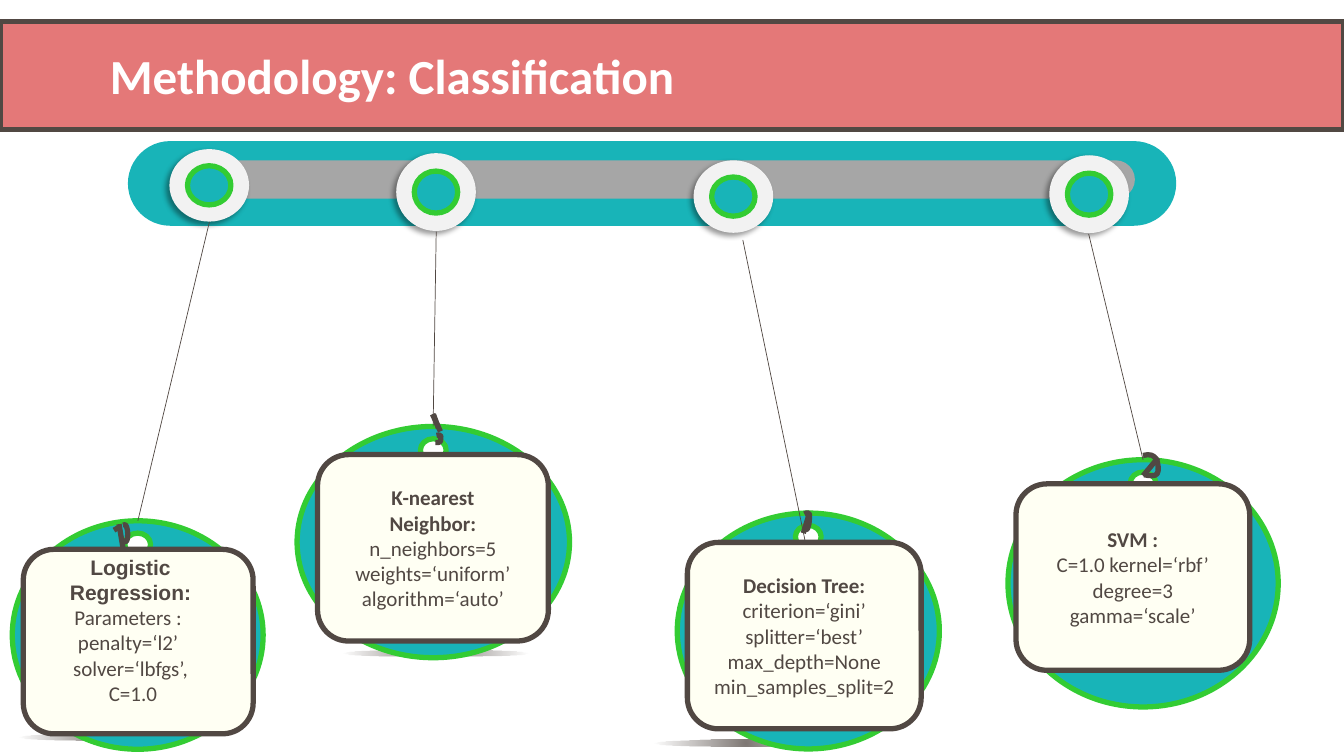
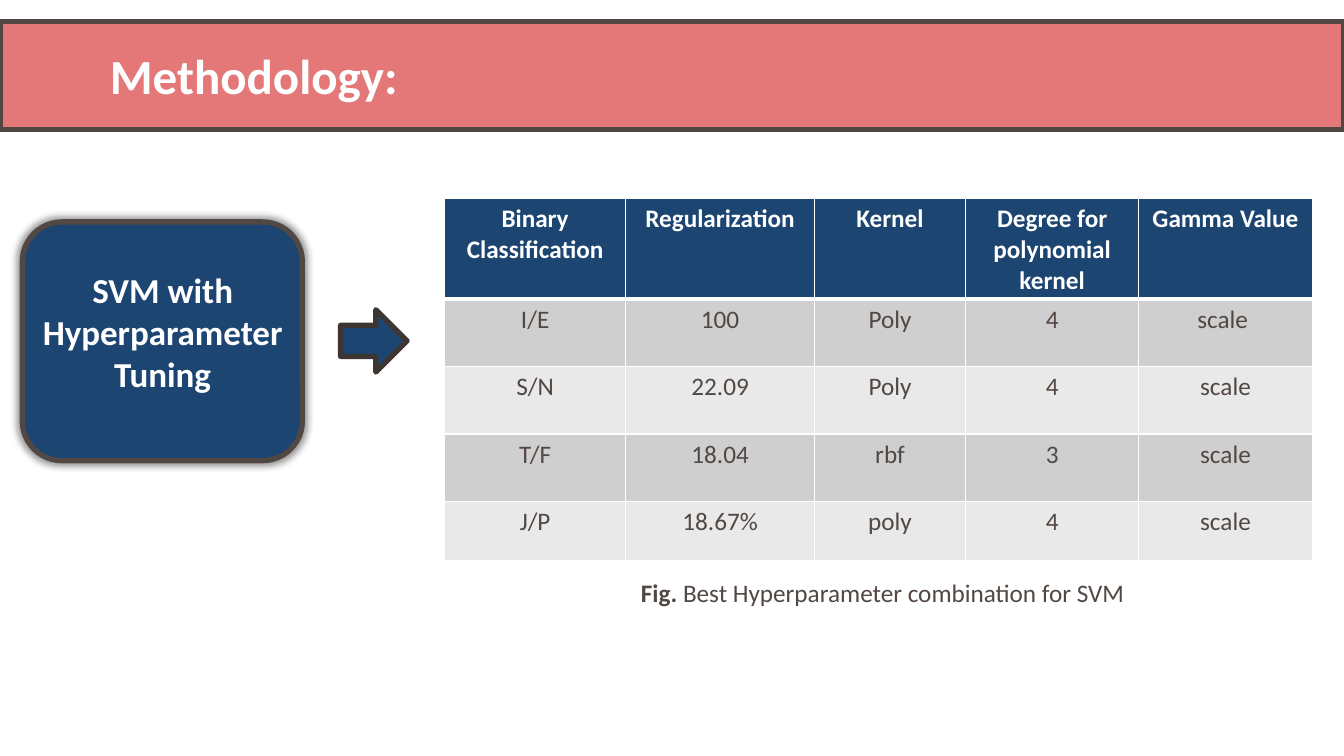
from lxml import etree
from pptx import Presentation
from pptx.dml.color import RGBColor
from pptx.enum import shapes, text
from pptx.oxml import parse_xml
from pptx.oxml.ns import qn
from pptx.util import Pt

# Shared look
CORAL = RGBColor(0xE4, 0x78, 0x78)
BROWN = RGBColor(0x51, 0x48, 0x43)
DARK = RGBColor(0x3C, 0x35, 0x32)
TEAL = RGBColor(0x18, 0xB4, 0xB8)
GREEN = RGBColor(0x33, 0xCC, 0x33)
NAVY = RGBColor(0x1D, 0x45, 0x71)
CREAM = RGBColor(0xFF, 0xFF, 0xF3)
WHITE = RGBColor(0xFF, 0xFF, 0xFF)
PALE = RGBColor(0xF2, 0xF2, 0xF2)
GRAY = RGBColor(0xA6, 0xA6, 0xA6)
ROWS = RGBColor(0xD0, 0xCF, 0xCF), RGBColor(0xE9, 0xE9, 0xE9)
THICK, THIN = 3.78, 0.5
KAPPA = 0.55  # Bezier handle length for a quarter ellipse
NS = "http://schemas.openxmlformats.org/drawingml/2006/main"
SHAPE = shapes.MSO_SHAPE
CENTER, LEFT = text.PP_ALIGN.CENTER, text.PP_ALIGN.LEFT
TOP, MIDDLE = text.MSO_ANCHOR.TOP, text.MSO_ANCHOR.MIDDLE

TITLE = dict(size=Pt(35), name="Calibri", bold=True)
CARD = dict(size=Pt(15), name="Calibri", bold=False)
HEAD = dict(CARD, bold=True)
CELL = dict(size=Pt(18), name="Calibri", bold=False)

# Slide 1 content: hanging tags; a stroke of two points is straight, others are curves
TAGS = [
    dict(tag=(8.8, 372, 179.2, 163.2), shade=(13, 524.2), knob=(121, 106.5, 56.9, 51.8),
         string=(149.6, 158.5, 98.5, 372),
         strokes=[[(87.8, 375.1), (90, 374.4), (90, 375.1), (90.7, 377.3),
                   (91.4, 378.7), (91.4, 384.5), (90.7, 385.9),
                   (90.7, 387.4), (89.3, 387.4), (87.8, 385.9)],
                  [(88.6, 396), (85, 374.4)], [(81.4, 378.7), (85, 376.6)]]),
    dict(tag=(212.2, 304.6, 194.6, 165.2), shade=(244.8, 463.7), knob=(283, 109.4, 56.9, 55.6),
         string=(311.6, 165.5, 309.4, 304.6),
         strokes=[[(311, 316.1), (313.2, 316.1), (313.9, 316.1), (314.6, 315.4),
                   (314.6, 314.6), (315.4, 311.8), (314.6, 311),
                   (313.9, 310.3), (312.5, 311), (311.8, 311)],
                  [(308.9, 295.9), (314.6, 308.2)], [(309.6, 295.9), (313.2, 306)]]),
    dict(tag=(483.8, 366.5, 187.2, 168.5), shade=(466.6, 528.5), knob=(495.4, 114.5, 56.9, 51.8),
         string=(530.6, 171.4, 575.3, 387.4),
         back=[(530.6, 391), (529.2, 388.8), (527, 386.6), (527, 384.5),
               (527, 382.3), (528.5, 380.2), (529.9, 378)],
         strokes=[[(574.6, 378), (576.7, 378.7), (577.4, 377.3), (577.4, 375.8),
                   (578.2, 374.4), (578.2, 368.6), (578.2, 367.2),
                   (577.4, 365.8), (576, 365.8), (574.6, 367.2)],
                  [(573.8, 380.9), (578.2, 366.5)]]),
    dict(tag=(720, 328.4, 193, 176.6), knob=(749.5, 110.9, 56.9, 55.6),
         string=(777.6, 167, 816.5, 328.4),
         strokes=[[(816.5, 325.4), (822.2, 324), (823.7, 325.4), (825.8, 327.6),
                   (827.3, 329.8), (828, 337), (826.6, 338.4),
                   (825.1, 340.6), (820.8, 339.8), (817.2, 339.1)],
                  [(827.3, 326.9), (816.5, 339.8)]]),
]
LOGISTIC_BOX = (16.6, 392.4, 164.2, 131.8)
LOGISTIC = [("Logistic Regression:", dict(HEAD, name="Arial")), ("Parameters : ", CARD),
            ("penalty=‘l2’ ", CARD), ("solver=‘lbfgs’,", CARD), (" C=1.0", CARD)]
CARDS = [
    ((226.8, 324.7, 164.9, 133.2),
     [("K-nearest", HEAD), ("Neighbor:", HEAD),
      ("n_neighbors=5 weights=‘uniform’ algorithm=‘auto’", CARD)]),
    ((491, 387.4, 167, 133.2),
     [("Decision Tree:", HEAD),
      ("criterion=‘gini’ splitter=‘best’ max_depth=None", CARD),
      ("min_samples_split=2", CARD)]),
    ((725.7, 345.6, 167, 133.2),
     [("SVM :", HEAD), ("C=1.0 kernel=‘rbf’ degree=3 gamma=‘scale’", CARD)]),
]

# Slide 2 content
TABLE = [
    ("Binary Classification", "Regularization", "Kernel", "Degree for polynomial kernel", "Gamma Value"),
    ("I/E", "100", "Poly", "4", "scale "),
    ("S/N", "22.09", "Poly", "4", "scale"),
    ("T/F", "18.04", "rbf", "3", "scale"),
    ("J/P", "18.67%", "poly", "4", "scale"),
]
COL_W = (129.5, 134.8, 107.9, 123.8, 123.8)
ROW_H = (66.2, 48.1, 48.1, 48.1, 42.4)

prs = Presentation()
prs.slide_width, prs.slide_height = Pt(960), Pt(540)


def pts(*values):
    return [Pt(v) for v in values]


def add_run(p, words, fmt, color):
    r = p.add_run()
    r.text = words
    for key, value in fmt.items():
        setattr(r.font, key, value)
    r.font.color.rgb = color


def write(tf, lines, color, align=CENTER, anchor=TOP):
    tf.word_wrap = True
    tf.vertical_anchor = anchor
    for i, (words, fmt) in enumerate(lines):
        p = tf.paragraphs[0] if i == 0 else tf.add_paragraph()
        p.alignment = align
        add_run(p, words, fmt, color)


def paint(s, fill=None, line=None):
    s.shadow.inherit = False
    if fill is None:
        s.fill.background()
    else:
        s.fill.solid()
        s.fill.fore_color.rgb = fill
    if line is None:
        s.line.fill.background()
    else:
        s.line.color.rgb = line
        s.line.width = Pt(THICK)
    return s


def add_shape(sl, kind, box, fill=None, line=None, adj=None):
    s = paint(sl.shapes.add_shape(kind, *pts(*box)), fill, line)
    if adj is not None:
        s.adjustments[0] = adj
    return s


def add_text(sl, box, lines, color, align=CENTER):
    write(sl.shapes.add_textbox(*pts(*box)).text_frame, lines, color, align)


def cast_shadow(s, blur, dist, angle, scale=100):
    effects = s._element.spPr.find(qn("a:effectLst"))
    effects.append(parse_xml(
        f'<a:outerShdw xmlns:a="{NS}" blurRad="{Pt(blur)}" dist="{Pt(dist)}" '
        f'dir="{angle * 60000}" sx="{scale * 1000}" sy="{scale * 1000}" algn="ctr" '
        f'rotWithShape="0"><a:srgbClr val="000000"><a:alpha val="40000"/></a:srgbClr></a:outerShdw>'))


def fade_out(s):
    """Radial brown fill that fades to clear at the edge."""
    stops = "".join(f'<a:gs pos="{pos}"><a:srgbClr val="{BROWN}"><a:alpha val="{alpha}"/>'
                    f'</a:srgbClr></a:gs>' for pos, alpha in ((0, 74000), (100000, 0)))
    grad = parse_xml(f'<a:gradFill xmlns:a="{NS}"><a:gsLst>{stops}</a:gsLst><a:path path="circle">'
                     '<a:fillToRect l="50000" t="50000" r="50000" b="50000"/></a:path></a:gradFill>')
    sp = s._element.spPr
    sp.replace(sp.find(qn("a:solidFill")), grad)


def bend(s):
    """Turn each three line segments into one Bezier curve."""
    legs = list(s._element.spPr.iter(qn("a:lnTo")))
    for i in range(0, len(legs), 3):
        curve = etree.Element(qn("a:cubicBezTo"))
        legs[i].addprevious(curve)
        for leg in legs[i:i + 3]:
            curve.append(leg[0])
            leg.getparent().remove(leg)


def add_path(sl, outlines, closed, fill, line):
    fb = sl.shapes.build_freeform(*pts(*outlines[0][0]))
    for i, outline in enumerate(outlines):
        if i:
            fb.move_to(*pts(*outline[0]))
        fb.add_line_segments([pts(*xy) for xy in outline[1:]], close=closed)
    s = paint(fb.convert_to_shape(), fill, line)
    if len(outlines[0]) > 2:
        bend(s)


def ellipse(cx, cy, rx, ry):
    """Start point and four quarter curves; a negative rx turns the other way."""
    k = KAPPA
    unit = [(0, -1), (k, -1), (1, -k), (1, 0), (1, k), (k, 1), (0, 1),
            (-k, 1), (-1, k), (-1, 0), (-1, -k), (-k, -1), (0, -1)]
    return [(cx + rx * x, cy + ry * y) for x, y in unit]


def add_slide(title):
    sl = prs.slides.add_slide(prs.slide_layouts[5])
    band = add_shape(sl, SHAPE.RECTANGLE, (0, 15.3, 960, 77.5), CORAL, BROWN)
    sl.shapes._spTree.insert(2, band._element)
    s = sl.shapes.title
    s.left, s.top, s.width, s.height = pts(71.3, 28.8, 860, 49.7)
    write(s.text_frame, [(title, TITLE)], WHITE, LEFT)
    s.text_frame.auto_size = text.MSO_AUTO_SIZE.NONE
    return sl


def add_tag(sl, tag, knob, string, strokes, shade=None, back=None):
    if shade:
        fade_out(add_shape(sl, SHAPE.OVAL, (*shade, 132.5, 5), BROWN))
    if back:
        add_path(sl, [back], False, None, BROWN)
    # Disc with a punched hole
    x, y, w, h = tag
    cx = x + w / 2
    add_path(sl, [ellipse(cx, y + 17, -9.2, 8.2), ellipse(cx, y + h / 2, w / 2, h / 2)],
             True, TEAL, GREEN)
    # Knob on the rail
    x, y, w, h = knob
    cast_shadow(add_shape(sl, SHAPE.OVAL, knob, PALE), 4, 3, 135)
    iw, ih = 31, h * 0.54
    add_shape(sl, SHAPE.OVAL, (x + (w - iw) / 2, y + (h - ih) / 2, iw, ih), TEAL, GREEN)
    # String and scribbled knot
    c = sl.shapes.add_connector(shapes.MSO_CONNECTOR.STRAIGHT, *pts(*string))
    c.line.color.rgb, c.line.width = BROWN, Pt(THIN)
    etree.SubElement(c._element.spPr, qn("a:effectLst"))
    for stroke in strokes:
        add_path(sl, [stroke], False, None, BROWN)


def set_borders(cell, bottom):
    tcPr = cell._tc.get_or_add_tcPr()
    for i, (side, w) in enumerate((("L", 1), ("R", 1), ("T", 1), ("B", bottom))):
        tcPr.insert(i, parse_xml(f'<a:ln{side} xmlns:a="{NS}" w="{Pt(w)}"><a:solidFill>'
                                 f'<a:srgbClr val="{WHITE}"/></a:solidFill></a:ln{side}>'))


def classification_slide():
    sl = add_slide("Methodology: Classification")
    # Rail
    add_shape(sl, SHAPE.ROUNDED_RECTANGLE, (91.4, 100.8, 748.8, 60.5), TEAL, adj=0.5)
    add_shape(sl, SHAPE.ROUNDED_RECTANGLE, (128.9, 114.5, 681.8, 27.4), GRAY, adj=0.5)
    for tag in TAGS:
        add_tag(sl, **tag)
    # Cards
    add_shape(sl, SHAPE.ROUNDED_RECTANGLE, LOGISTIC_BOX, CREAM, BROWN)
    add_text(sl, (13, 392.4, 160.5, 116.6), LOGISTIC, BROWN)
    for box, lines in CARDS:
        s = add_shape(sl, SHAPE.ROUNDED_RECTANGLE, box, CREAM, BROWN)
        write(s.text_frame, lines, BROWN, anchor=MIDDLE)


def tuning_slide():
    sl = add_slide("Methodology:")
    # Model box
    s = add_shape(sl, SHAPE.ROUNDED_RECTANGLE, (15.9, 158.5, 200.1, 170.6), NAVY, BROWN)
    cast_shadow(s, 5, 0, 0, 102)
    add_text(sl, (22.2, 188, 188, 98),
             [("SVM with Hyperparameter Tuning", dict(TITLE, size=Pt(25)))], WHITE)
    # Table
    box = pts(317.5, 141.8, sum(COL_W), sum(ROW_H))
    table = sl.shapes.add_table(len(ROW_H), len(COL_W), *box).table
    for col, w in zip(table.columns, COL_W):
        col.width = Pt(w)
    for i, (row, h, values) in enumerate(zip(table.rows, ROW_H, TABLE)):
        row.height = Pt(h)
        for cell, value in zip(row.cells, values):
            cell.fill.solid()
            cell.fill.fore_color.rgb = ROWS[(i - 1) % 2] if i else NAVY
            if i == 0:
                set_borders(cell, 3)
            write(cell.text_frame, [(value, dict(CELL, bold=i == 0))], BROWN if i else WHITE)
    # Arrow and caption
    add_shape(sl, SHAPE.RIGHT_ARROW, (243.3, 221.2, 47.5, 44.6), NAVY, DARK)
    tf = sl.shapes.add_textbox(*pts(450.7, 409, 440, 29)).text_frame
    write(tf, [("Fig. ", dict(CELL, bold=True))], BROWN, LEFT)
    add_run(tf.paragraphs[0], "Best Hyperparameter combination for SVM", CELL, BROWN)


if __name__ == "__main__":
    classification_slide()
    tuning_slide()
    prs.save("out.pptx")
